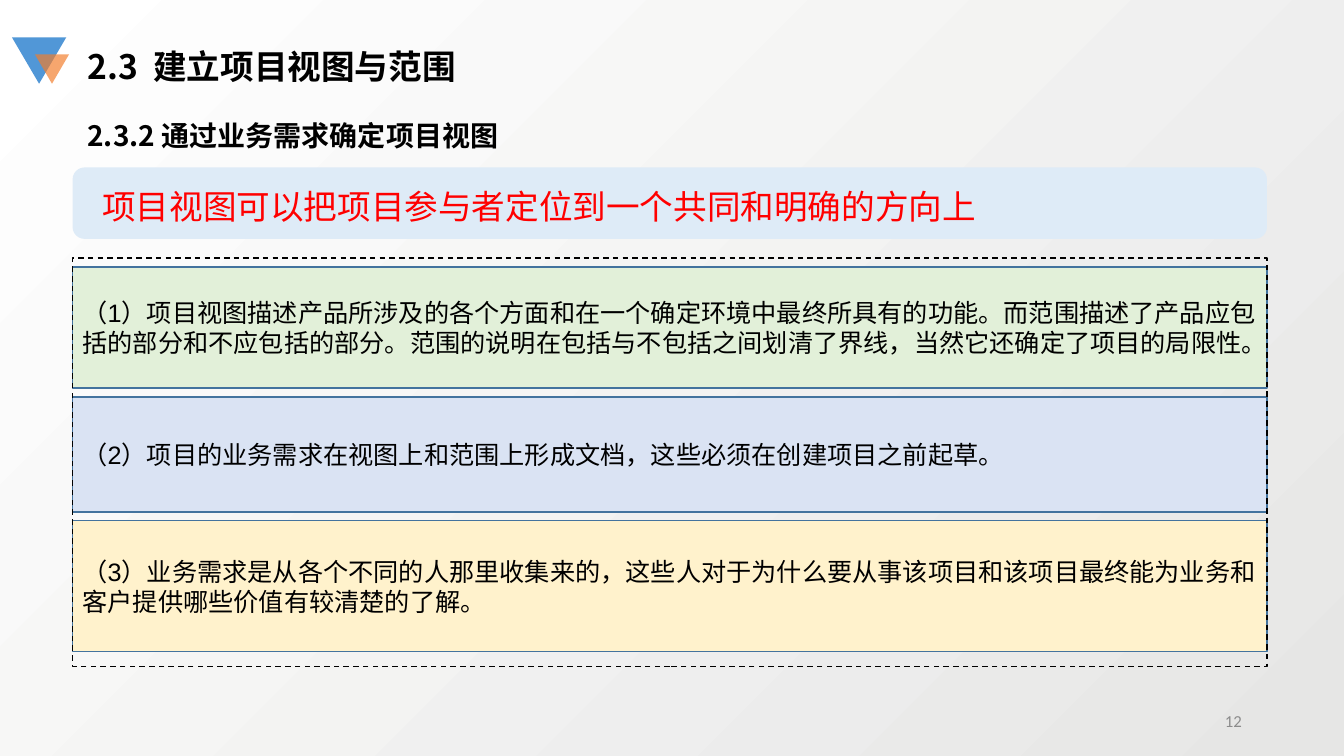
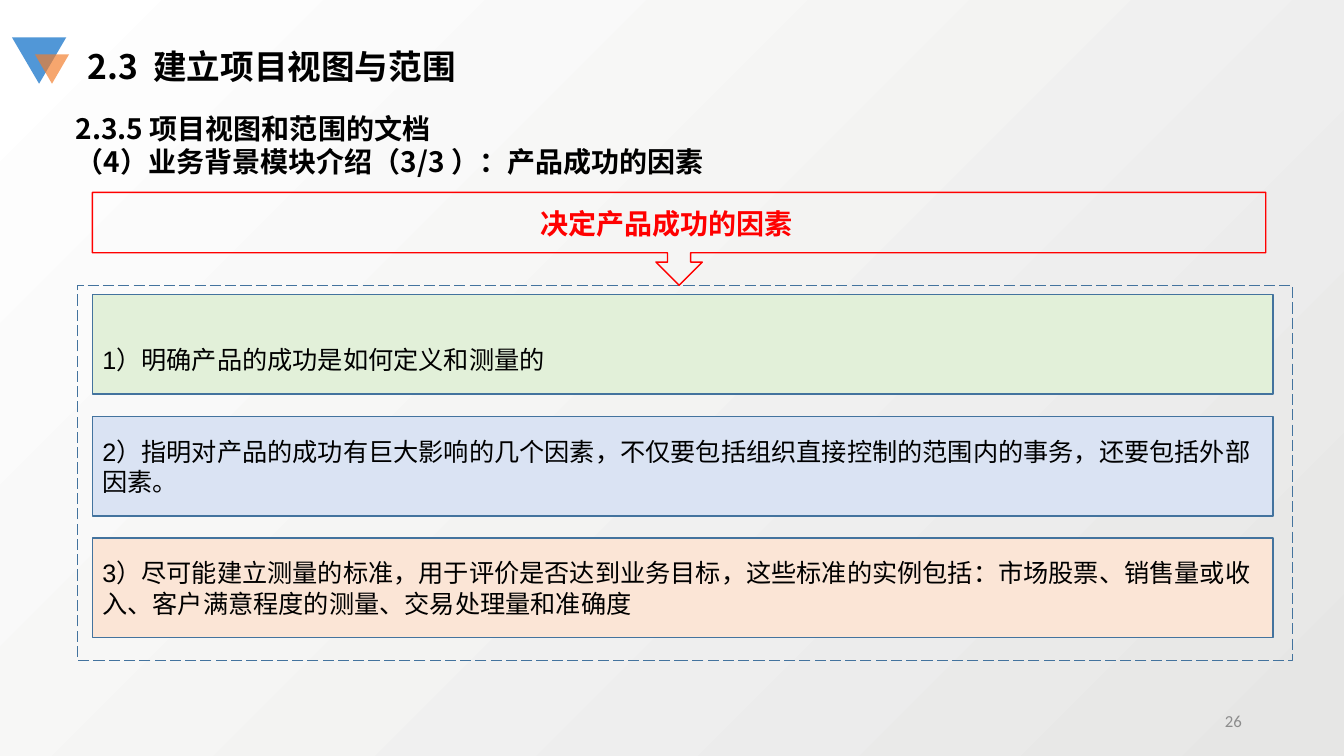
from collections import namedtuple

from lxml import etree
from pptx import Presentation
from pptx.dml.color import RGBColor
from pptx.enum.dml import MSO_LINE
from pptx.enum.shapes import MSO_SHAPE
from pptx.enum.text import MSO_ANCHOR, MSO_AUTO_SIZE, PP_ALIGN
from pptx.oxml.ns import qn
from pptx.util import Cm, Pt

RECTANGLE = MSO_SHAPE.RECTANGLE
ROUNDED = MSO_SHAPE.ROUNDED_RECTANGLE
TRIANGLE = MSO_SHAPE.ISOSCELES_TRIANGLE
CALLOUT = MSO_SHAPE.DOWN_ARROW_CALLOUT
DASH, LONG_DASH = MSO_LINE.DASH, MSO_LINE.LONG_DASH
TOP, MIDDLE = MSO_ANCHOR.TOP, MSO_ANCHOR.MIDDLE
LEFT, CENTER, RIGHT = PP_ALIGN.LEFT, PP_ALIGN.CENTER, PP_ALIGN.RIGHT
FIT_SHAPE = MSO_AUTO_SIZE.SHAPE_TO_FIT_TEXT

COLORS = {
    "black": "000000", "red": "FF0000", "grey": "8C8C8C",
    "outline": "43739E", "green": "E2F0D9", "blue": "DAE3F3",
    "yellow": "FFF2CC", "peach": "FBE5D6", "banner": "DEEBF7",
    "mark_blue": "5197D7", "mark_orange": "F37D2A",
    "back_dark": "E6E6E5", "back_light": "FFFFFF",
}
HEADING_FONT = "Noto Sans CJK SC"
BODY_FONT = "Arial"
NUMBER_FONT = "Calibri"
SECTION_TITLE = "2.3  建立项目视图与范围"

Box = namedtuple("Box", "left top width height")
Item = namedtuple("Item", "text color height spacing", defaults=(1,))


def rgb(name):
    return RGBColor.from_string(COLORS[name])


def lengths(box):
    return [Cm(value) for value in box]


def format_paragraph(paragraph, size, font_name, color, bold=False, align=LEFT):
    paragraph.alignment = align
    font = paragraph.font
    font.size = Pt(size)
    font.bold = bold
    font.color.rgb = rgb(color)
    font.name = font_name
    properties = paragraph._p.pPr.find(qn("a:defRPr"))
    etree.SubElement(properties, qn("a:ea")).set("typeface", HEADING_FONT)


def add_panel(slide, kind, box, fill=None, line=None, dash=None):
    shape = slide.shapes.add_shape(kind, *lengths(box))
    shape.shadow.inherit = False
    if fill:
        shape.fill.solid()
        shape.fill.fore_color.rgb = rgb(fill)
    else:
        shape.fill.background()
    if line:
        shape.line.color.rgb = rgb(line)
        shape.line.width = Pt(1)
        if dash:
            shape.line.dash_style = dash
    else:
        shape.line.fill.background()
    return shape


def add_label(slide, box, text, size, font_name, color, wrap=True,
              anchor=TOP, **style):
    frame = slide.shapes.add_textbox(*lengths(box)).text_frame
    frame.word_wrap = wrap
    frame.vertical_anchor = anchor
    frame.text = text
    format_paragraph(frame.paragraphs[0], size, font_name, color, **style)


def fill_heading(placeholder, box, lines, size):
    placeholder.left, placeholder.top, placeholder.width, placeholder.height = lengths(box)
    frame = placeholder.text_frame
    frame.text = "\n".join(lines)
    frame.word_wrap = True
    frame.auto_size = FIT_SHAPE
    frame.vertical_anchor = TOP
    for paragraph in frame.paragraphs:
        properties = paragraph._p.get_or_add_pPr()
        properties.set("marL", "0")
        properties.set("indent", "0")
        etree.SubElement(properties, qn("a:buNone"))
        paragraph.space_before = Pt(0)
        format_paragraph(paragraph, size, HEADING_FONT, "black", bold=True)


def add_corner_mark(slide, left, top):
    large = add_panel(slide, TRIANGLE, Box(left, top, 1.37, 1.17), "mark_blue")
    small = add_panel(slide, TRIANGLE, Box(left + 0.58, top + 0.43, 0.86, 0.74),
                      "mark_orange")
    for shape in (large, small):
        shape.rotation = 180
    color = small.fill._xPr.find(qn("a:solidFill"))[0]
    etree.SubElement(color, qn("a:alpha")).set("val", "68000")


def add_stack(slide, box, gap, items):
    top = box.top
    for item in items:
        area = Box(box.left, top, box.width, item.height)
        frame = add_panel(slide, RECTANGLE, area, item.color, "outline").text_frame
        frame.word_wrap = True
        frame.vertical_anchor = MIDDLE
        frame.text = item.text
        paragraph = frame.paragraphs[0]
        paragraph.line_spacing = item.spacing
        format_paragraph(paragraph, 18, BODY_FONT, "black")
        top += item.height + gap


def add_banner(slide, box, text):
    add_panel(slide, ROUNDED, box, "banner")
    add_label(slide, Box(box.left + 0.5, box.top + 0.35, box.width - 1, 1.27),
              text, 24, BODY_FONT, "red")


def add_callout(slide, box, text):
    add_panel(slide, CALLOUT, box, line="red")
    label_width = 6.93
    label_left = box.left + (box.width - label_width) / 2 - 0.32
    add_label(slide, Box(label_left, box.top + 0.23, label_width, 1.11), text,
              20, NUMBER_FONT, "red", wrap=False, bold=True, align=CENTER)


def add_section_slide(presentation, subtitle_box, subtitle_lines, number):
    slide = presentation.slides.add_slide(presentation.slide_layouts[1])
    fill_heading(slide.shapes.title, Box(1.95, 1.02, 21.56, 1.27),
                 [SECTION_TITLE], 24)
    fill_heading(slide.placeholders[1], subtitle_box, subtitle_lines, 20)
    add_corner_mark(slide, 0.3, 0.94)
    add_label(slide, Box(23.93, 17.65, 7.62, 1.02), number, 12, NUMBER_FONT,
              "grey", anchor=MIDDLE, align=RIGHT)
    return slide


def set_background(presentation):
    fill = presentation.slide_master.background.fill
    fill.gradient()
    fill.gradient_angle = 135
    for stop, name in zip(fill.gradient_stops, ("back_dark", "back_light")):
        stop.color.rgb = rgb(name)


def build_vision_slide(presentation):
    slide = add_section_slide(presentation, Box(1.95, 2.87, 21.56, 1.11),
                              ["2.3.2 通过业务需求确定项目视图"], "12")
    content = Box(1.83, 6.5, 30.1, 10.29)
    add_banner(slide, Box(content.left, 4.22, content.width, 1.8),
               "项目视图可以把项目参与者定位到一个共同和明确的方向上")
    add_stack(slide, content._replace(top=content.top + 0.23), 0.22, [
        Item("（1）项目视图描述产品所涉及的各个方面和在一个确定环境中最终所具有的功能。"
             "而范围描述了产品应包括的部分和不应包括的部分。范围的说明在包括与不包括之间"
             "划清了界线，当然它还确定了项目的局限性。", "green", 3.05),
        Item("（2）项目的业务需求在视图上和范围上形成文档，这些必须在创建项目之前起草。",
             "blue", 2.9),
        Item("（3）业务需求是从各个不同的人那里收集来的，这些人对于为什么要从事该项目和"
             "该项目最终能为业务和客户提供哪些价值有较清楚的了解。", "yellow", 3.3),
    ])
    add_panel(slide, RECTANGLE, content, line="black", dash=DASH)


def build_success_slide(presentation):
    slide = add_section_slide(
        presentation, Box(1.65, 2.67, 23.34, 1.96),
        ["2.3.5 项目视图和范围的文档",
         "（4）业务背景模块介绍（3/3 ）：产品成功的因素"], "26")
    content = Box(1.95, 7.19, 30.63, 9.45)
    add_panel(slide, RECTANGLE, content, line="outline", dash=LONG_DASH)
    stack = Box(content.left + 0.38, content.top + 0.23, 29.75, 8.65)
    add_stack(slide, stack, 0.56, [
        Item("1）明确产品的成功是如何定义和测量的", "green", 2.51, 2),
        Item("2）指明对产品的成功有巨大影响的几个因素，不仅要包括组织直接控制的范围内的"
             "事务，还要包括外部因素。", "blue", 2.51),
        Item("3）尽可能建立测量的标准，用于评价是否达到业务目标，这些标准的实例包括："
             "市场股票、销售量或收入、客户满意程度的测量、交易处理量和准确度",
             "peach", 2.51),
    ])
    add_callout(slide, Box(stack.left, 4.85, 29.57, 2.34), "决定产品成功的因素")


def main():
    presentation = Presentation()
    presentation.slide_width = Cm(33.87)
    presentation.slide_height = Cm(19.05)
    set_background(presentation)
    build_vision_slide(presentation)
    build_success_slide(presentation)
    presentation.save("out.pptx")


if __name__ == "__main__":
    main()
